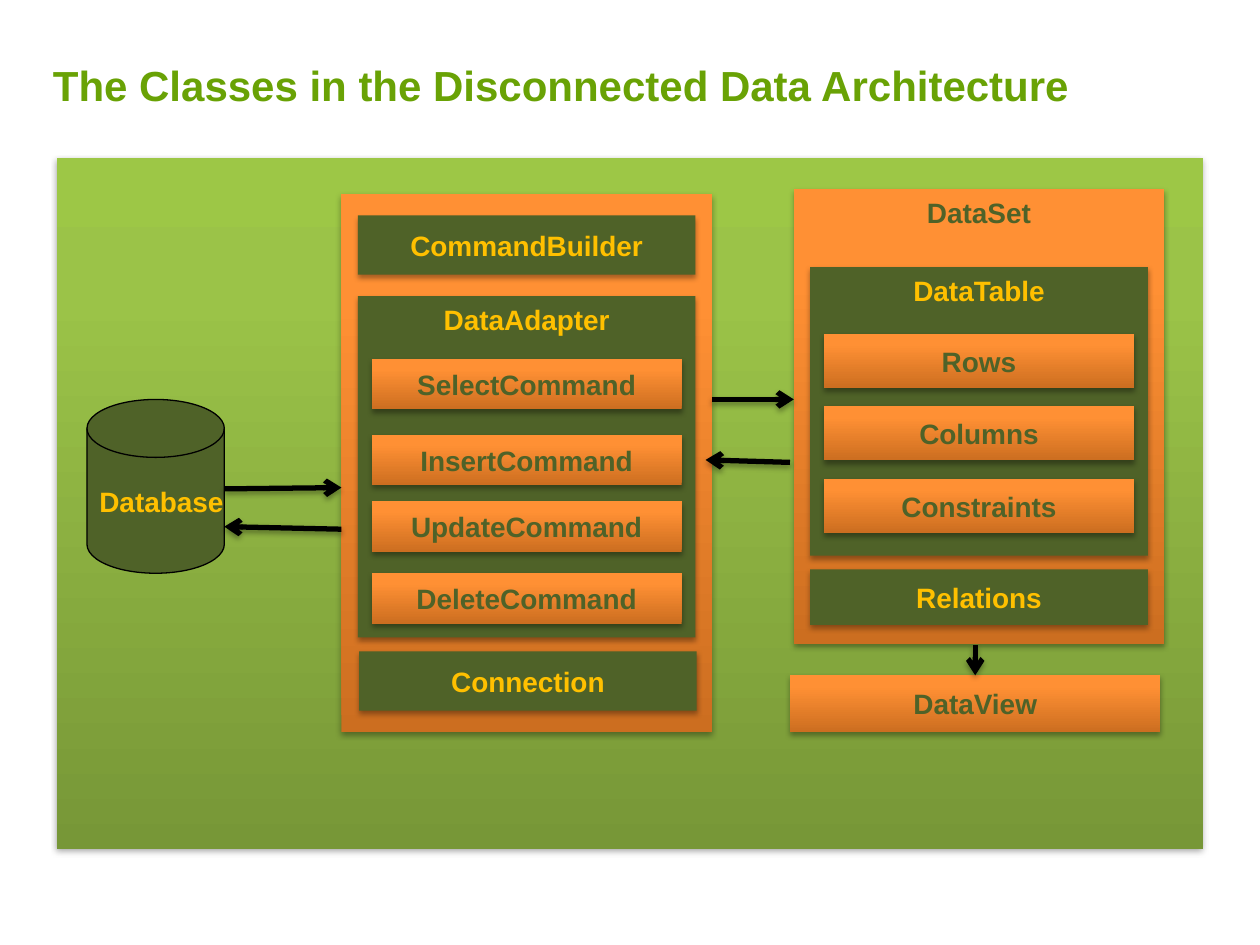
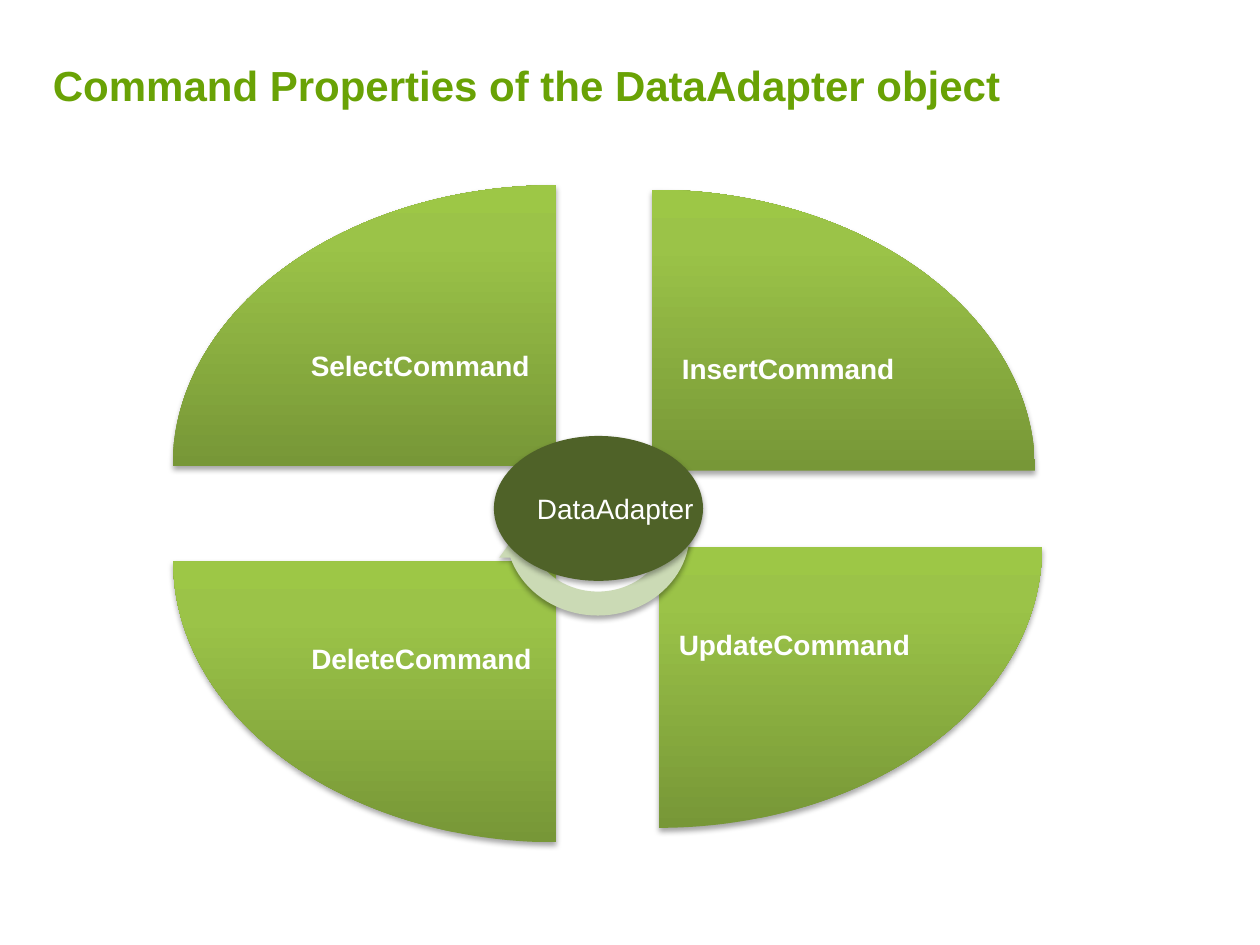
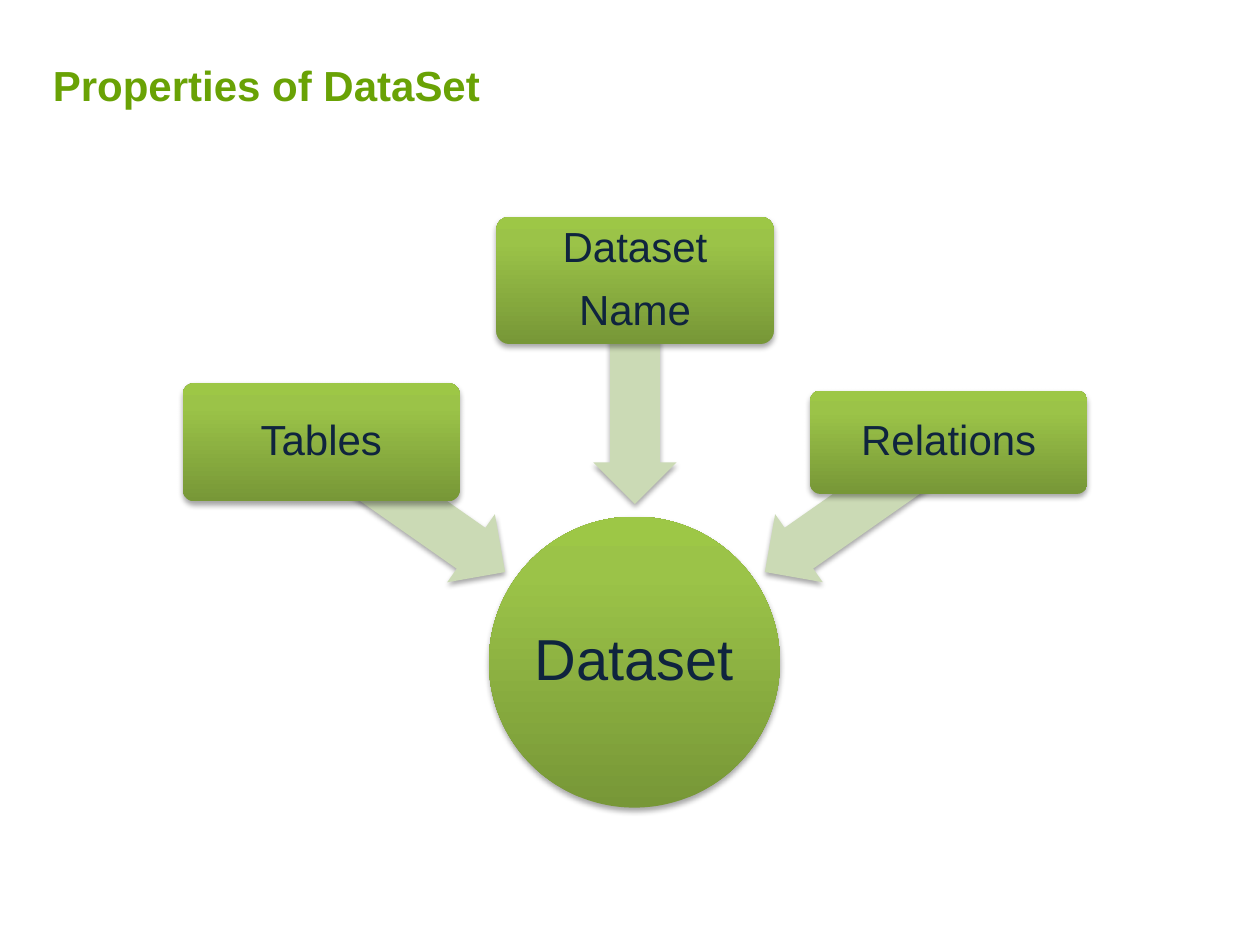
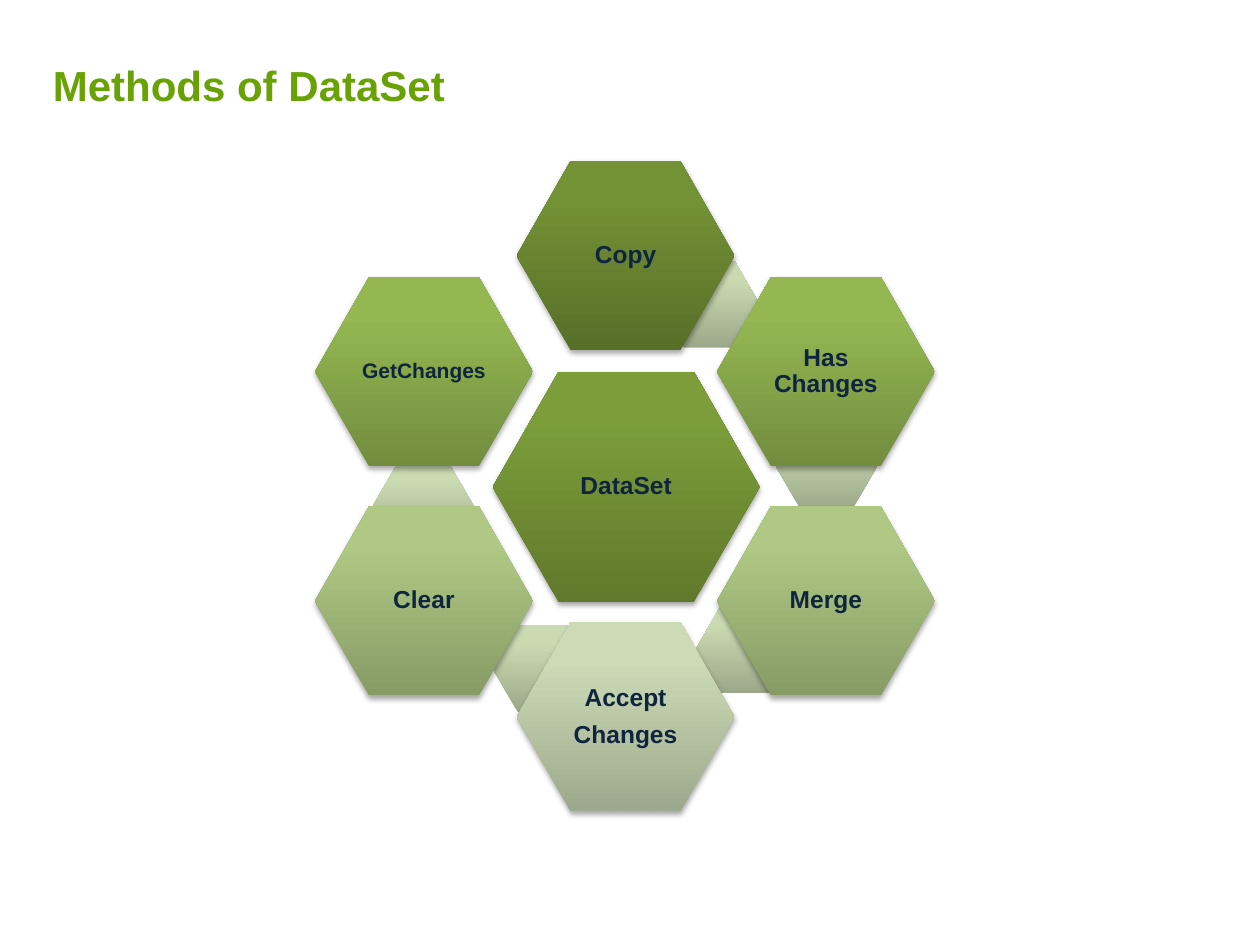
from pptx import Presentation
from pptx.dml.color import RGBColor
from pptx.enum.shapes import MSO_CONNECTOR, MSO_SHAPE as Preset
from pptx.enum.text import MSO_ANCHOR as Anchor, PP_ALIGN as Align
from pptx.oxml import parse_xml
from pptx.oxml.ns import nsdecls, qn
from pptx.util import Inches, Pt

FONT = "Arial"
BLACK = RGBColor(0, 0, 0)
WHITE = RGBColor(0xFF, 0xFF, 0xFF)
TITLE_GREEN = RGBColor(0x69, 0xA2, 0x05)
DARK_GREEN = RGBColor(0x4F, 0x62, 0x28)
PALE_GREEN = RGBColor(0xCB, 0xDA, 0xB5)
GOLD = RGBColor(0xFF, 0xC0, 0x00)
NAVY = RGBColor(0x0F, 0x24, 0x3E)


def shades(*codes):
    """Gradient colours from bottom to top."""
    return tuple(RGBColor.from_string(code) for code in codes)


GREEN = shades("779737", "9BC348", "9DC746")
ORANGE = shades("CC6E20", "FF9034", "FF9136")
HEX_CENTRE = shades("60792C", "7C9D3A", "7D9F38")
HEX_LINK = shades("9CA989", "CADBB2", "CBDDB2")
HEX_DEEP = shades("586F29", "739135", "749334")
HEX_MEDIUM = shades("728D3F", "94B752", "95BA51")
HEX_LIGHT = shades("879B66", "AFC984", "B0CB84")
HEX_PALE = shades("9DA98C", "CCDBB6", "CDDDB6")


# Shared elements
def add_shadow(properties):
    effects = properties.find(qn("a:effectLst"))
    if effects is None:
        effects = parse_xml(f"<a:effectLst {nsdecls('a')}/>")
        properties.append(effects)
    effects.append(parse_xml(
        f'<a:outerShdw {nsdecls("a")} blurRad="40000" dist="23000" dir="5400000" '
        'rotWithShape="0"><a:srgbClr val="000000"><a:alpha val="35000"/>'
        '</a:srgbClr></a:outerShdw>'))


def paint(shape, fill):
    """Fill with one colour, or with a vertical gradient of three."""
    if isinstance(fill, RGBColor):
        shape.fill.solid()
        shape.fill.fore_color.rgb = fill
        return
    stops = "".join(
        f'<a:gs pos="{place * 1000}"><a:srgbClr val="{colour}"/></a:gs>'
        for place, colour in zip((0, 80, 100), fill))
    gradient = parse_xml(
        f'<a:gradFill {nsdecls("a")} rotWithShape="0"><a:gsLst>{stops}</a:gsLst>'
        '<a:lin ang="16200000" scaled="0"/></a:gradFill>')
    shape.fill.background()
    properties = shape._element.spPr
    properties.replace(properties.find(qn("a:noFill")), gradient)


def write(box, text, size=16, colour=WHITE, bold=False, align=Align.CENTER,
          anchor=Anchor.MIDDLE, wrap=True, inset=None, spaced=False):
    frame = box.text_frame
    frame.word_wrap = wrap
    frame.vertical_anchor = anchor
    if inset is not None:
        (frame.margin_left, frame.margin_top,
         frame.margin_right, frame.margin_bottom) = map(Inches, inset)
    for number, line in enumerate(text.split("\n")):
        para = frame.add_paragraph() if number else frame.paragraphs[0]
        para.alignment = align
        if spaced:
            para.line_spacing = 0.9
            para.space_after = Pt(0.4 * size)
        span = para.add_run()
        span.text = line
        span.font.name = FONT
        span.font.size = Pt(size)
        span.font.bold = bold
        span.font.color.rgb = colour


def add_shape(page, preset, place, fill, rotation=0, adjust=(), shadow=True,
              outline=None):
    shape = page.shapes.add_shape(preset, *map(Inches, place))
    for number, value in enumerate(adjust):
        shape.adjustments[number] = value
    shape.rotation = rotation
    paint(shape, fill)
    if outline is None:
        shape.line.fill.background()
    else:
        shape.line.color.rgb = outline
        shape.line.width = Pt(0.75)
    shape.shadow.inherit = False
    if shadow:
        add_shadow(shape._element.spPr)
    return shape


def add_label(page, place, text, margin=0.02, **style):
    box = page.shapes.add_textbox(*map(Inches, place))
    write(box, text, inset=(margin,) * 4, spaced=True, **style)


def add_arrow(page, start, end):
    arrow = page.shapes.add_connector(
        MSO_CONNECTOR.STRAIGHT, *map(Inches, (*start, *end)))
    arrow.line.color.rgb = BLACK
    arrow.line.width = Pt(3)
    arrow.line._get_or_add_ln().append(
        parse_xml(f'<a:tailEnd {nsdecls("a")} type="arrow"/>'))
    add_shadow(arrow._element.spPr)


def add_page(deck, title):
    page = deck.slides.add_slide(deck.slide_layouts[6])
    box = page.shapes.add_textbox(*map(Inches, (0.42, 0.35, 9.14, 0.57)))
    write(box, title, size=24, colour=TITLE_GREEN, bold=True, align=Align.LEFT,
          anchor=Anchor.BOTTOM, inset=(0, 0, 0, 0.05))
    return page


# Slide 1: architecture
def add_panel(page, place, text="", dark=False, anchor=Anchor.MIDDLE):
    panel = add_shape(page, Preset.RECTANGLE, place, DARK_GREEN if dark else ORANGE)
    if text:
        write(panel, text, colour=GOLD if dark else DARK_GREEN, bold=True,
              anchor=anchor, wrap=False)


def build_architecture(deck):
    page = add_page(deck, "The Classes in the Disconnected Data Architecture")
    add_shape(page, Preset.RECTANGLE, (0.45, 1.25, 9.1, 5.49), GREEN)

    # Data provider
    add_panel(page, (2.71, 1.54, 2.94, 4.27))
    add_panel(page, (2.84, 1.71, 2.68, 0.47), "CommandBuilder", dark=True)
    add_panel(page, (2.84, 2.35, 2.68, 2.71), "DataAdapter", dark=True,
              anchor=Anchor.TOP)
    add_panel(page, (2.85, 5.17, 2.68, 0.47), "Connection", dark=True)
    for top, verb in ((2.85, "Select"), (3.45, "Insert"),
                      (3.98, "Update"), (4.55, "Delete")):
        add_panel(page, (2.95, top, 2.46, 0.4), verb + "Command")

    # Data set and view
    add_panel(page, (6.27, 5.36, 2.94, 0.45), "DataView")
    add_panel(page, (6.3, 1.5, 2.94, 3.61), "DataSet", anchor=Anchor.TOP)
    add_panel(page, (6.43, 4.52, 2.68, 0.44), "Relations", dark=True)
    add_panel(page, (6.43, 2.12, 2.68, 2.29), "DataTable", dark=True,
              anchor=Anchor.TOP)
    for row, name in enumerate(("Rows", "Columns", "Constraints")):
        add_panel(page, (6.54, 2.65 + 0.575 * row, 2.46, 0.43), name)

    # Database and data flow
    database = add_shape(page, Preset.FLOWCHART_MAGNETIC_DISK,
                         (0.69, 3.17, 1.09, 1.38), DARK_GREEN, shadow=False,
                         outline=BLACK)
    write(database, "Database", colour=GOLD, bold=True, align=Align.LEFT, wrap=False)
    for start, end in (((5.65, 3.17), (6.3, 3.17)), ((6.27, 3.67), (5.6, 3.65)),
                       ((1.78, 3.88), (2.71, 3.87)), ((2.71, 4.2), (1.78, 4.18)),
                       ((7.74, 5.12), (7.74, 5.36))):
        add_arrow(page, start, end)


# Slide 2: four commands around the adapter
def build_commands(deck):
    page = add_page(deck, "Command Properties of the DataAdapter object")
    wedges = (
        ("SelectCommand", (1.37, 1.47, 3.04, 2.23), (2.26, 2.13)),
        ("InsertCommand", (5.58, 1.1, 2.23, 3.04), (5.18, 2.15)),
        ("UpdateCommand", (5.23, 4.34, 3.04, 2.23), (5.23, 4.34)),
        ("DeleteCommand", (1.78, 4.05, 2.23, 3.04), (2.27, 4.45)),
    )
    for turn, (name, place, corner) in enumerate(wedges):
        add_shape(page, Preset.PIE_WEDGE, place, GREEN, rotation=90 * turn)
        add_label(page, (*corner, 2.15, 1.58), name, margin=0.12, bold=True)

    add_shape(page, Preset.CIRCULAR_ARROW, (4.58, 3.47, 0.81, 0.7), PALE_GREEN)
    add_shape(page, Preset.CIRCULAR_ARROW, (3.92, 3.46, 1.65, 1.52), PALE_GREEN,
              rotation=180)
    hub = add_shape(page, Preset.OVAL, (3.92, 3.46, 1.66, 1.15), DARK_GREEN)
    write(hub, "DataAdapter", align=Align.LEFT, wrap=False)


# Slide 3: properties pointing at the data set
def build_properties(deck):
    page = add_page(deck, "Properties of DataSet")
    circle = (3.88, 4.1, 2.31, 2.31)
    add_shape(page, Preset.OVAL, circle, GREEN)
    add_label(page, circle, "Dataset", size=33, colour=NAVY)

    properties = (
        ("Tables", (1.45, 3.04, 2.2, 0.94), (2.39, 3.7), 215),
        ("Dataset\nName", (3.94, 1.72, 2.2, 1.01), (4.15, 2.78), 270),
        ("Relations", (6.43, 3.1, 2.2, 0.82), (5.91, 3.7), 325),
    )
    for name, place, arrow_corner, angle in properties:
        add_shape(page, Preset.LEFT_ARROW, (*arrow_corner, 1.78, 0.66), PALE_GREEN,
                  rotation=angle, adjust=(0.6, 0.5))
        add_shape(page, Preset.ROUNDED_RECTANGLE, place, GREEN, adjust=(0.1,))
        add_label(page, place, name, margin=0.05, size=24, colour=NAVY)


# Slide 4: ring of methods
def add_hexagon(page, place, fill, text, size=14):
    left, top, width, height = place
    add_shape(page, Preset.HEXAGON, place, fill, adjust=(0.286,))
    add_label(page, (left + width / 6, top + height / 6, width * 2 / 3, height * 2 / 3),
              text, size=size, colour=NAVY, bold=True)


def build_methods(deck):
    page = add_page(deck, "Methods of DataSet")
    add_hexagon(page, (3.91, 2.95, 2.12, 1.83), HEX_CENTRE, "DataSet")
    left, middle, right = 2.5, 4.1, 5.69
    upper, lower = 2.2, 4.02
    methods = (
        ("Copy", (middle, 1.28), HEX_DEEP, (5.23, 2.07), 14),
        ("Has Changes", (right, upper), HEX_MEDIUM, (6.16, 3.36), 14),
        ("Merge", (right, lower), HEX_LIGHT, (5.52, 4.81), 14),
        ("Accept\nChanges", (middle, 4.94), HEX_PALE, (3.91, 4.96), 14),
        ("Clear", (left, lower), HEX_LIGHT, (2.96, 3.67), 14),
        ("GetChanges", (left, upper), HEX_MEDIUM, None, 12),
    )
    for name, corner, fill, link_corner, size in methods:
        if link_corner:
            add_shape(page, Preset.HEXAGON, (*link_corner, 0.8, 0.69), HEX_LINK,
                      adjust=(0.289,), shadow=False)
        add_hexagon(page, (*corner, 1.73, 1.5), fill, name, size=size)


def main():
    deck = Presentation()
    deck.slide_width, deck.slide_height = Inches(10), Inches(7.5)
    build_architecture(deck)
    build_commands(deck)
    build_properties(deck)
    build_methods(deck)
    deck.save("out.pptx")


main()
